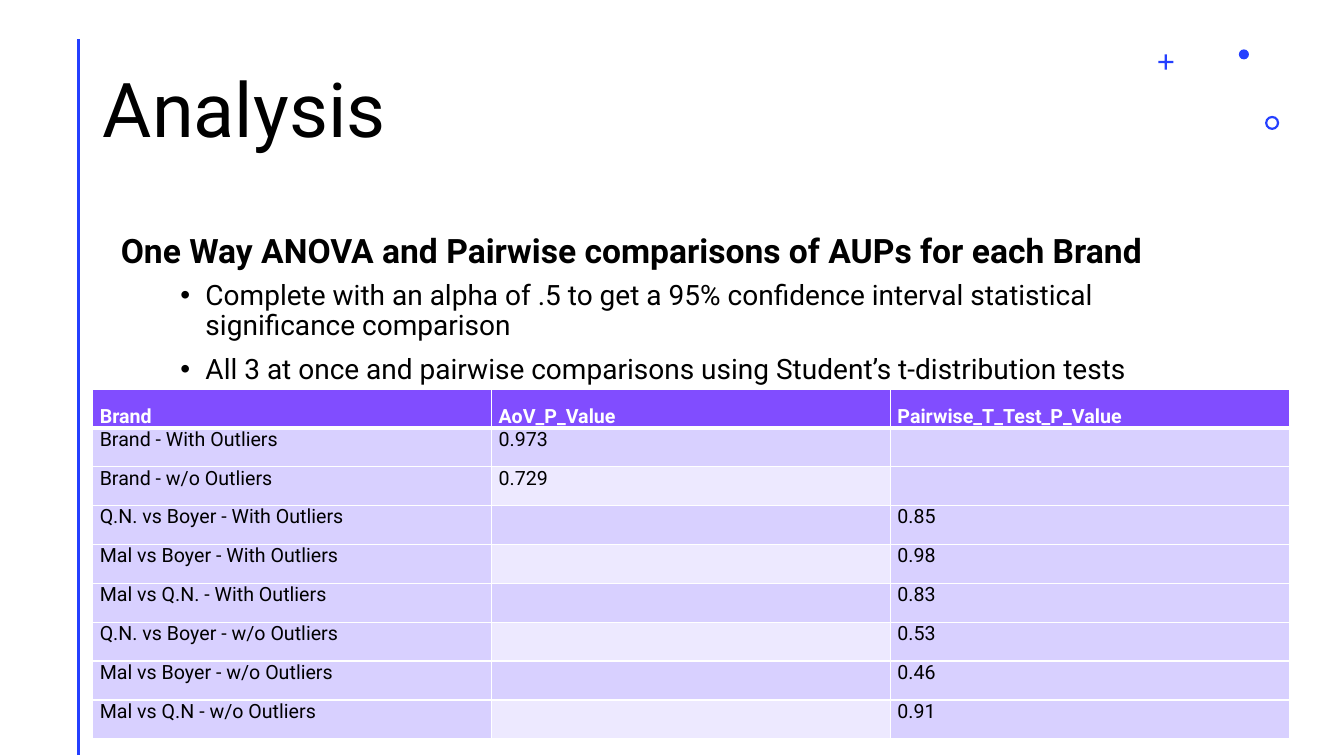
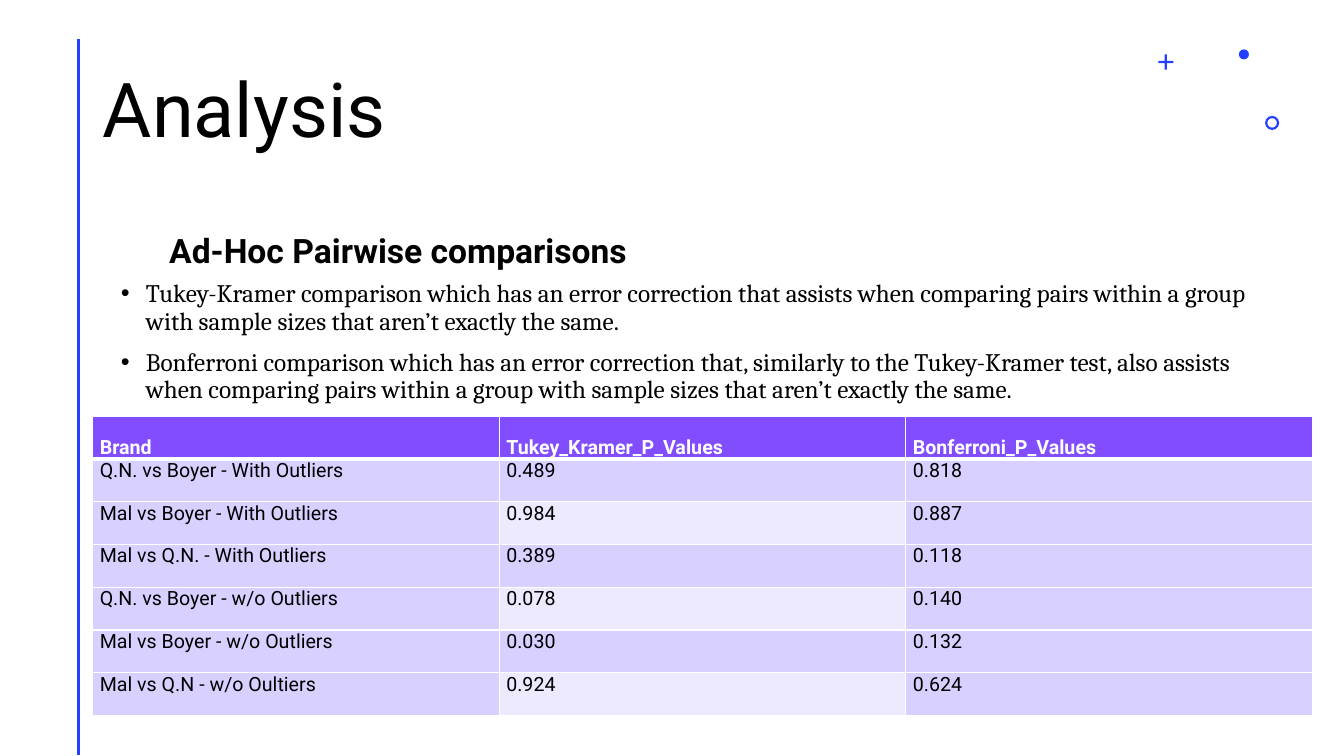
from dataclasses import dataclass

from pptx import Presentation, util as u
from pptx.dml.color import RGBColor
from pptx.enum import shapes, text
from pptx.oxml import parse_xml
from pptx.oxml.ns import nsdecls

WIDE, HIGH = u.Inches(13.333), u.Inches(7.5)
TITLE_ONLY = 5
LEFT = 6.9  # shared left edge of titles and tables, in percent
HEAD_TOP, HEAD_HIGH = 24.53, 12
BODY_TOP = HEAD_TOP + HEAD_HIGH


@dataclass(frozen=True)
class Theme:
    ink: str = "000000"
    paper: str = "FFFFFF"
    accent: str = "243FFF"
    header: str = "814DFF"
    band: str = "D8D0FF"
    light: str = "EDE9FF"
    sans: str = "Roboto"
    serif: str = "Cambria"
    title: int = 54
    head: int = 24
    body: int = 20
    small: int = 18
    cell: int = 14


T = Theme()
ANOVA = [
    ("Brand", "AoV_P_Value", "Pairwise_T_Test_P_Value"),
    ("Brand - With Outliers", "0.973", ""),
    ("Brand - w/o Outliers", "0.729", ""),
    ("Q.N. vs Boyer - With Outliers", "", "0.85"),
    ("Mal vs Boyer - With Outliers", "", "0.98"),
    ("Mal vs Q.N. - With Outliers", "", "0.83"),
    ("Q.N. vs Boyer - w/o Outliers", "", "0.53"),
    ("Mal vs Boyer - w/o Outliers", "", "0.46"),
    ("Mal vs Q.N - w/o Outliers", "", "0.91"),
]
AD_HOC = [
    ("Brand", "Tukey_Kramer_P_Values", "Bonferroni_P_Values"),
    ("Q.N. vs Boyer - With Outliers", "0.489", "0.818"),
    ("Mal vs Boyer - With Outliers", "0.984", "0.887"),
    ("Mal vs Q.N. - With Outliers", "0.389", "0.118"),
    ("Q.N. vs Boyer - w/o Outliers", "0.078", "0.140"),
    ("Mal vs Boyer - w/o Outliers", "0.030", "0.132"),
    ("Mal vs Q.N - w/o Oultiers", "0.924", "0.624"),
]


def area(x, y, w, h):
    """Turn percentages of the slide into left, top, width, height."""
    return (int(WIDE * x / 100), int(HIGH * y / 100),
            int(WIDE * w / 100), int(HIGH * h / 100))


def rgb(code):
    return RGBColor.from_string(code)


def write(frame, *lines, size, color=T.ink, font=T.sans, bold=False,
          gap=None, before=0, after=0, bullet=False):
    """Fill a text frame with one paragraph per line."""
    frame.word_wrap = True
    for n, line in enumerate(lines):
        para = frame.add_paragraph() if n else frame.paragraphs[0]
        para.alignment = text.PP_ALIGN.LEFT
        para.line_spacing = gap
        para.space_before, para.space_after = u.Pt(before), u.Pt(after)
        if bullet:
            props = para._p.get_or_add_pPr()
            props.set("marL", str(u.Inches(0.25)))
            props.set("indent", str(-u.Inches(0.25)))
            for tag in ('buFont %s typeface="Arial"', 'buChar %s char="•"'):
                props.append(parse_xml(f"<a:{tag % nsdecls('a')}/>"))
        run = para.add_run()
        run.text = line
        run.font.size, run.font.name, run.font.bold = u.Pt(size), font, bold
        run.font.color.rgb = rgb(color)


def add_text(slide, place, *lines, anchor=text.MSO_ANCHOR.TOP, **style):
    frame = slide.shapes.add_textbox(*area(*place)).text_frame
    frame.vertical_anchor = anchor
    write(frame, *lines, gap=0.9, before=10, **style)


def add_mark(slide, kind, place, adjust=None):
    mark = slide.shapes.add_shape(kind, *area(*place))
    mark.shadow.inherit = False
    mark.fill.solid()
    mark.fill.fore_color.rgb = rgb(T.accent)
    mark.line.fill.background()
    if adjust is not None:
        mark.adjustments[0] = adjust


def add_decor(slide):
    x, y, _, h = area(5.85, 5.2, 0, 94.7)
    rule = slide.shapes.add_connector(
        shapes.MSO_CONNECTOR.STRAIGHT, x, y, x, y + h)
    rule.line.color.rgb, rule.line.width = rgb(T.accent), u.Pt(2)
    rule._element.spPr.append(parse_xml(f"<a:effectLst {nsdecls('a')}/>"))
    kind = shapes.MSO_SHAPE
    add_mark(slide, kind.CROSS, (86.18, 7.2, 1.13, 2), 0.43)
    add_mark(slide, kind.DONUT, (94.13, 15.33, 1.05, 1.87), 0.16)
    add_mark(slide, kind.OVAL, (92.18, 6.53, 0.75, 1.33))


def add_edges(cell, top, low):
    """Draw white cell borders; top and low are widths in points."""
    props = cell._tc.get_or_add_tcPr()
    for side, width in zip("LRTB", (1, 1, top, low)):
        props.append(parse_xml(
            f'<a:ln{side} {nsdecls("a")} w="{u.Pt(width)}"><a:solidFill>'
            f'<a:srgbClr val="{T.paper}"/></a:solidFill></a:ln{side}>'))


def add_grid(slide, place, data):
    x, y, w, h = area(*place)
    rows, cols = len(data), len(data[0])
    table = slide.shapes.add_table(rows, cols, x, y, w, h).table
    table.horz_banding = False
    for col in table.columns:
        col.width = w // cols
    for r, line in enumerate(data):
        table.rows[r].height = h // rows
        for c, value in enumerate(line):
            cell = table.cell(r, c)
            head = r == 0
            add_edges(cell, 3 if r == 1 else 1, 3 if head else 1)
            inner = T.light if c == 1 and r % 2 == 0 else T.band
            cell.fill.solid()
            cell.fill.fore_color.rgb = rgb(T.header if head else inner)
            cell.margin_left = cell.margin_right = u.Inches(0.07)
            cell.margin_top = cell.margin_bottom = 0
            cell.vertical_anchor = (text.MSO_ANCHOR.BOTTOM if head
                                    else text.MSO_ANCHOR.TOP)
            if value:
                write(cell.text_frame, value, size=T.cell, bold=head,
                      color=T.paper if head else T.ink, before=1.8, after=1.8)


def add_page(deck, title):
    slide = deck.slides.add_slide(deck.slide_layouts[TITLE_ONLY])
    add_decor(slide)
    head = slide.shapes.title
    head.left, head.top, head.width, head.height = area(
        LEFT, 5.33, 86.25, 19.33)
    head.text_frame.vertical_anchor = text.MSO_ANCHOR.MIDDLE
    head.text_frame.auto_size = text.MSO_AUTO_SIZE.NONE
    write(head.text_frame, title, size=T.title, gap=0.9)
    return slide


def add_head(slide, x, w, line):
    add_text(slide, (x, HEAD_TOP, w, HEAD_HIGH), line, size=T.head,
             bold=True, anchor=text.MSO_ANCHOR.BOTTOM)


def main():
    deck = Presentation()
    deck.slide_width, deck.slide_height = WIDE, HIGH

    page = add_page(deck, "Analysis")
    add_head(page, 8.25, 84.83,
             "One Way ANOVA and Pairwise comparisons of AUPs for each Brand")
    add_text(page, (12.68, BODY_TOP, 80.4, 53.73),
             "Complete with an alpha of .5 to get a 95% confidence interval "
             "statistical significance comparison",
             "All 3 at once and pairwise comparisons using Student’s "
             "t-distribution tests",
             size=T.body, bullet=True)
    add_grid(page, (LEFT, 51.47, 89.03, 46.27), ANOVA)

    page = add_page(deck, "Analysis")
    add_head(page, 11.85, 83.48, "Ad-Hoc Pairwise comparisons")
    add_text(page, (8.25, BODY_TOP, 87.15, 19.33),
             "Tukey-Kramer comparison which has an error correction that "
             "assists when comparing pairs within a group with sample sizes "
             "that aren’t exactly the same.",
             "Bonferroni comparison which has an error correction that, "
             "similarly to the Tukey-Kramer test, also assists when comparing "
             "pairs within a group with sample sizes that aren’t exactly the "
             "same.",
             size=T.small, font=T.serif, bullet=True)
    add_grid(page, (LEFT, 55.07, 90.75, 39.6), AD_HOC)

    deck.save("out.pptx")


if __name__ == "__main__":
    main()
